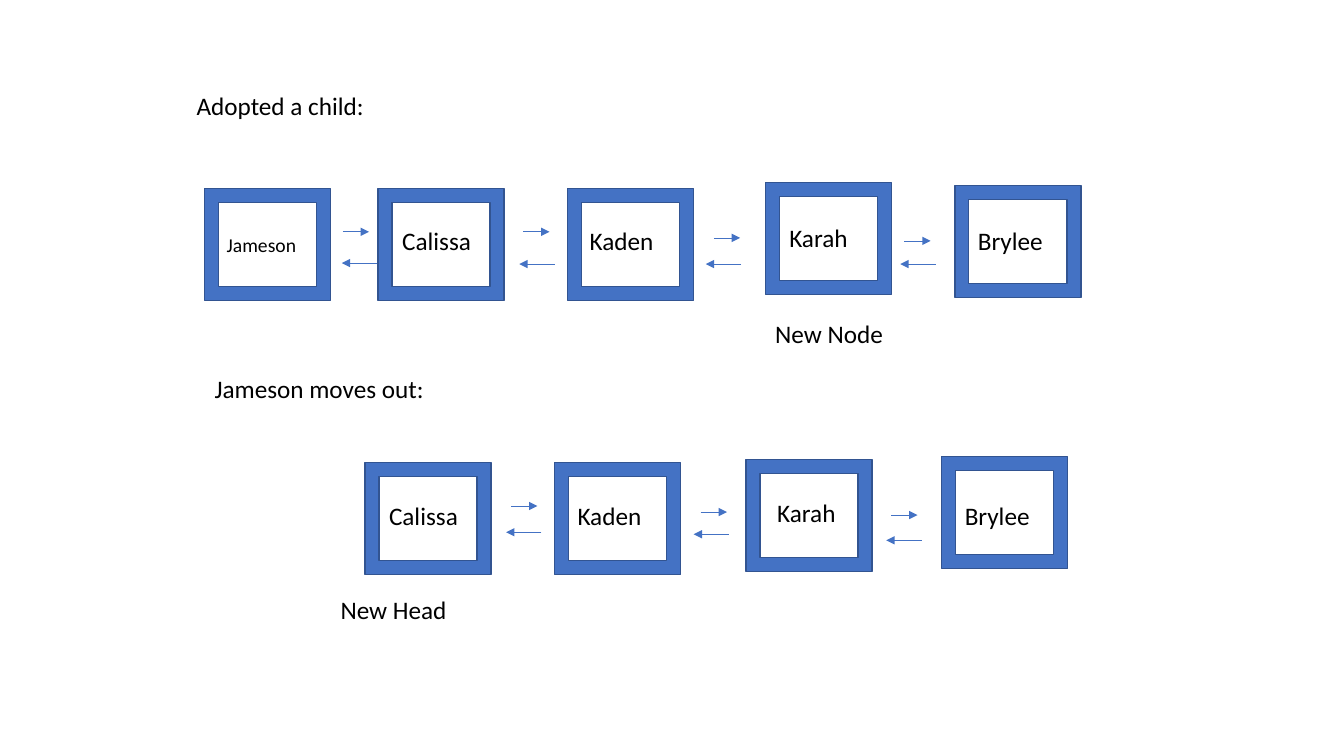
"""Build a slide that shows a doubly linked list of children before and after a removal."""
from dataclasses import dataclass

from lxml.etree import SubElement
from pptx import Presentation
from pptx.dml.color import RGBColor
from pptx.enum.shapes import MSO_CONNECTOR, MSO_SHAPE
from pptx.enum.text import MSO_ANCHOR, MSO_AUTO_SIZE, PP_ALIGN
from pptx.oxml.ns import qn
from pptx.shapes.base import BaseShape
from pptx.slide import Slide
from pptx.util import Inches, Pt


@dataclass(frozen=True)
class Theme:
    """Colours, font and sizes of the slide."""
    accent: RGBColor = RGBColor(0x44, 0x72, 0xC4)
    outline: RGBColor = RGBColor(0x32, 0x54, 0x91)
    text: RGBColor = RGBColor(0, 0, 0)
    font: str = "Calibri"
    text_size: int = 18
    frame_line: float = 1
    arrow_line: float = 0.5


@dataclass(frozen=True)
class Label:
    """A line of text with its place and size."""
    text: str
    left: float
    top: float
    width: float
    height: float = 0.4
    size: int = THEME_SIZE if (THEME_SIZE := Theme.text_size) else 18


@dataclass(frozen=True)
class Node:
    """A framed list node and its name."""
    left: float
    top: float
    name: Label


@dataclass(frozen=True)
class Link:
    """A pair of arrows, one to the next node and one back."""
    next_left: float
    next_y: float
    back_left: float
    back_y: float


THEME = Theme()
NODE_WIDTH, NODE_HEIGHT = 1.25, 1.11
NEXT_LENGTH, BACK_LENGTH = 0.26, 0.35

TITLE = Label("Adopted a child:", 1.85, 0.85, 6.76)
CAPTIONS = [
    Label("Jameson moves out:", 2.03, 3.65, 4.15),
    Label("New Node", 7.59, 3.11, 1.3),
    Label("New Head", 3.28, 5.85, 1.47),
]
NODES = [
    Node(2.03, 1.87, Label("Jameson", 2.15, 2.26, 1, 0.34, 14)),
    Node(3.75, 1.87, Label("Calissa", 3.89, 2.19, 0.99)),
    Node(5.63, 1.87, Label("Kaden", 5.75, 2.19, 1.05)),
    Node(7.59, 1.81, Label("Karah", 7.73, 2.16, 0.89)),
    Node(9.47, 1.84, Label("Brylee", 9.6, 2.19, 0.99)),
    Node(3.62, 4.59, Label("Calissa", 3.76, 4.91, 0.99)),
    Node(5.5, 4.59, Label("Kaden", 5.63, 4.91, 1.05)),
    Node(7.4, 4.56, Label("Karah", 7.61, 4.88, 0.89)),
    Node(9.34, 4.53, Label("Brylee", 9.47, 4.91, 0.99)),
]
LINKS = [
    Link(3.4, 2.3, 3.39, 2.61),
    Link(5.19, 2.3, 5.15, 2.62),
    Link(7.08, 2.36, 7, 2.62),
    Link(8.97, 2.39, 8.93, 2.62),
    Link(5.07, 5.02, 5.02, 5.28),
    Link(6.95, 5.08, 6.88, 5.3),
    Link(8.84, 5.11, 8.79, 5.36),
]


def write_label(shape: BaseShape, label: Label) -> None:
    """Place a text shape and format its single line."""
    shape.left, shape.top = Inches(label.left), Inches(label.top)
    shape.width, shape.height = Inches(label.width), Inches(label.height)
    frame = shape.text_frame
    frame.text = label.text
    frame.word_wrap = True
    frame.auto_size = MSO_AUTO_SIZE.SHAPE_TO_FIT_TEXT
    frame.vertical_anchor = MSO_ANCHOR.TOP
    paragraph = frame.paragraphs[0]
    paragraph.alignment = PP_ALIGN.LEFT
    paragraph.font.name = THEME.font
    paragraph.font.size = Pt(label.size)
    paragraph.font.color.rgb = THEME.text


def add_label(slide: Slide, label: Label) -> None:
    """Add a text box for a label."""
    write_label(slide.shapes.add_textbox(0, 0, 0, 0), label)


def add_node(slide: Slide, node: Node) -> None:
    """Add a frame with the node's name in it."""
    shape = slide.shapes.add_shape(
        MSO_SHAPE.FRAME, Inches(node.left), Inches(node.top),
        Inches(NODE_WIDTH), Inches(NODE_HEIGHT))
    shape.shadow.inherit = False
    shape.fill.solid()
    shape.fill.fore_color.rgb = THEME.accent
    shape.line.color.rgb = THEME.outline
    shape.line.width = Pt(THEME.frame_line)
    add_label(slide, node.name)


def add_arrow(slide: Slide, start: float, end: float, y: float) -> None:
    """Add a horizontal arrow with its head at the end."""
    arrow = slide.shapes.add_connector(
        MSO_CONNECTOR.STRAIGHT, Inches(start), Inches(y), Inches(end), Inches(y))
    arrow.line.color.rgb = THEME.accent
    arrow.line.width = Pt(THEME.arrow_line)
    SubElement(arrow.line._get_or_add_ln(), qn("a:tailEnd"), type="triangle")
    SubElement(arrow._element.spPr, qn("a:effectLst"))


def add_link(slide: Slide, link: Link) -> None:
    """Add both arrows of a link."""
    add_arrow(slide, link.next_left, link.next_left + NEXT_LENGTH, link.next_y)
    add_arrow(slide, link.back_left + BACK_LENGTH, link.back_left, link.back_y)


def main() -> None:
    """Build and save the presentation."""
    presentation = Presentation()
    presentation.slide_width, presentation.slide_height = Inches(13.33), Inches(7.5)
    slide = presentation.slides.add_slide(presentation.slide_layouts.get_by_name("Title Only"))
    write_label(slide.shapes.title, TITLE)
    for node in NODES:
        add_node(slide, node)
    for link in LINKS:
        add_link(slide, link)
    for caption in CAPTIONS:
        add_label(slide, caption)
    presentation.save("out.pptx")


main()
